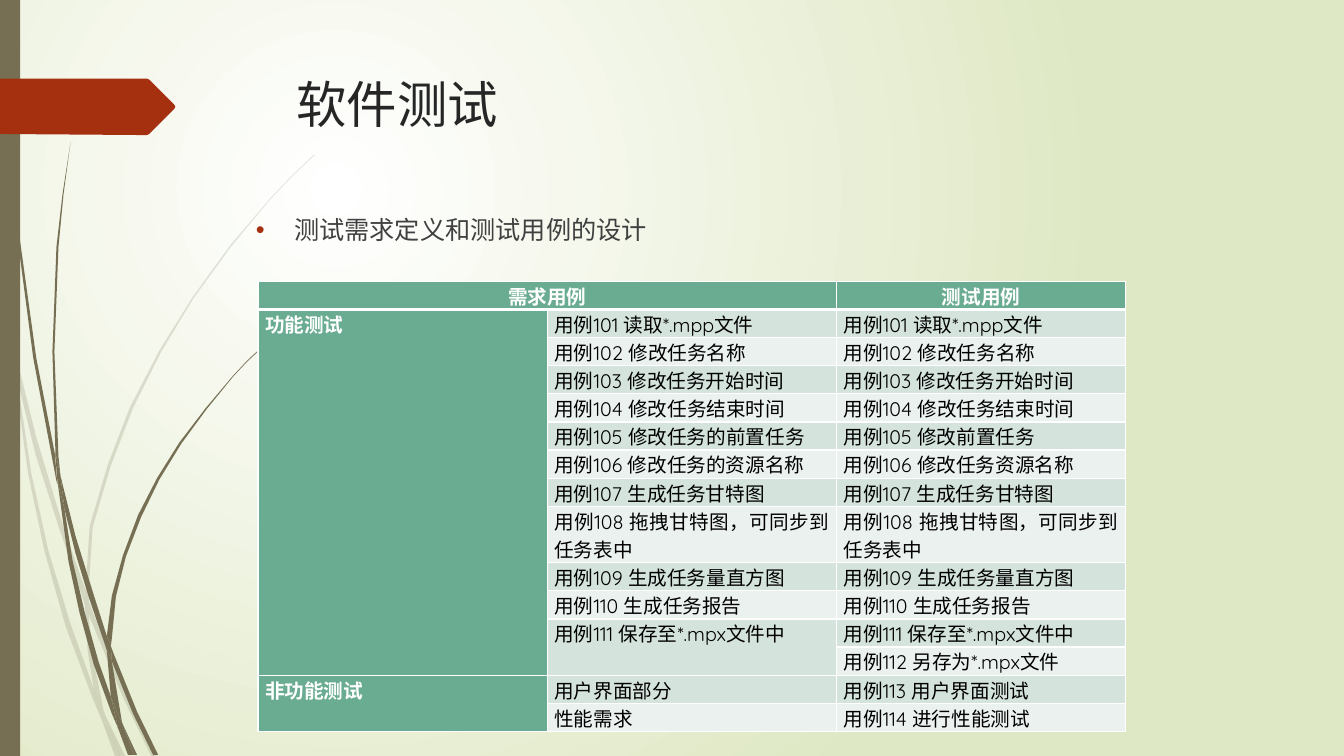
from typing import NamedTuple

from lxml.etree import SubElement
from pptx import Presentation
from pptx.dml.color import RGBColor
from pptx.enum.shapes import MSO_SHAPE as Preset
from pptx.enum.text import MSO_ANCHOR as Anchor, PP_ALIGN as Align
from pptx.oxml.ns import qn
from pptx.util import Emu, Inches, Pt

COLORS = {
    "olive": "766F54", "rust": "A53010", "title": "262626", "body": "404040",
    "white": "FFFFFF", "black": "000000", "meadow": "DFE8C4",
    "green": "6AAC91", "band_dark": "D4E3DC", "band_light": "EBF1EE",
}
FONT = "Quicksand"
CELL = Inches(0.01)  # the slide is a grid of square cells
COLUMNS, ROWS = 1333.33, 750


class Box(NamedTuple):
    left: float
    top: float
    width: float
    height: float

    def lengths(self) -> list[Emu]:
        return [Emu(round(cells * CELL)) for cells in self]


class Span(NamedTuple):
    """A table cell with its text; rows and columns tell how far it reaches."""
    row: int
    column: int
    text: str
    rows: int = 1
    columns: int = 1


class Grass(NamedTuple):
    """Leaves in one tone; each leaf lists its corners as column,row."""
    opacity: int
    leaves: tuple[str, ...]


PALE_GRASS = Grass(20, (
    "11,350 9,322 0,282 0,299 10,344",
    "58,522 84,599 85,586 62,520 36,434 14,345 17,376 35,450",
    "92,607 88,596 88,610 123,694 150,750 155,750 127,692",
    "119,750 124,750 105,711",
    "93,683 70,619 48,546 31,469 17,376 11,350 28,470 44,546 65,621 92,693 101,714 99,707",
    "84,599 87,646 93,683 96,692 105,711 103,706 91,646 88,610 88,608",
    "88,584 92,523 110,462 132,405 160,349 192,296 229,245 268,198 290,175 312,154 312,153 "
    "289,175 268,197 228,244 191,295 158,348 129,404 107,461 89,522 85,584 85,586 88,596",
    "101,714 114,750 119,750",
    "88,608 88,610 88,596 85,586 84,599",
    "96,692 93,683 99,707 101,714 119,750 105,711",
))
DARK_GRASS = Grass(100, (
    "7,110 17,233 33,355 56,477 57,481 55,457 55,453 36,355 19,232 8,109 5,48 4,0 3,0 4,48",
    "88,592 106,645 106,633 106,631 93,590 75,532 60,472 64,505 75,549",
    "113,649 110,641 111,656 132,708 152,749 157,749 136,706",
    "110,691 98,657 84,607 72,556 64,505 57,477 68,557 79,608 93,659 111,708 117,722 116,717",
    "60,472 58,453 54,349 58,245 63,193 70,141 62,193 56,245 52,349 55,449",
    "133,749 136,749 122,719",
    "57,477 64,505 60,472 55,449 55,453",
    "111,633 115,592 125,552 140,513 158,476 180,440 205,406 231,374 245,359 261,344 260,344 "
    "245,358 231,373 204,405 178,439 156,474 137,511 122,551 111,591 106,631 110,641",
    "117,722 127,749 131,749",
    "106,645 110,691 116,706 122,719 121,716 111,656 109,651",
    "106,645 109,651 111,656 110,641 106,631 106,633",
    "116,706 110,691 116,717 117,722 130,749 133,749 122,719",
))
RIBBON = "173,108 148,133 146,134 136,134 0,133 0,78 136,78 146,78 148,79 173,104 174,106"

SIDE_BAR = Box(0, 0, 20, ROWS)
TITLE_BOX = Box(284, 68, 975, 140)
BODY_BOX = Box(244, 208, 975, 413)
TABLE_BOX = Box(256, 279, 861, 447)

HEADINGS = [Span(0, 0, "需求用例", columns=2), Span(0, 2, "测试用例")]
GROUPS = [Span(1, 0, "功能测试", rows=12), Span(13, 0, "非功能测试", rows=2)]
REQUIREMENTS = [
    "用例101 读取*.mpp文件", "用例102 修改任务名称", "用例103 修改任务开始时间",
    "用例104 修改任务结束时间", "用例105 修改任务的前置任务", "用例106 修改任务的资源名称",
    "用例107 生成任务甘特图", "用例108 拖拽甘特图，可同步到任务表中",
    "用例109 生成任务量直方图", "用例110 生成任务报告",
]
TESTS = REQUIREMENTS[:4] + ["用例105 修改前置任务", "用例106 修改任务资源名称"] + REQUIREMENTS[6:] + [
    "用例111 保存至*.mpx文件中", "用例112 另存为*.mpx文件", "用例113 用户界面测试", "用例114 进行性能测试",
]
CASES = [
    *(Span(row, 1, text) for row, text in enumerate(REQUIREMENTS, 1)),
    Span(11, 1, "用例111 保存至*.mpx文件中", rows=2),
    Span(13, 1, "用户界面部分"), Span(14, 1, "性能需求"),
    *(Span(row, 2, text) for row, text in enumerate(TESTS, 1)),
]
TABLE_ROWS, TABLE_COLUMNS, LONG_ROW = 15, 3, 8


def rgb(name: str) -> RGBColor:
    return RGBColor.from_string(COLORS[name])


def paint(shape, color: str) -> None:
    shape.shadow.inherit = False
    shape.fill.solid()
    shape.fill.fore_color.rgb = rgb(color)
    shape.line.fill.background()


def draw_outline(shapes, corners: str, color: str):
    start, *rest = [tuple(map(int, corner.split(","))) for corner in corners.split()]
    builder = shapes.build_freeform(*start, scale=CELL)
    builder.add_line_segments(rest, close=True)
    shape = builder.convert_to_shape()
    paint(shape, color)
    return shape


def draw_grass(page, grass: Grass) -> None:
    group = page.shapes.add_group_shape()
    for corners in grass.leaves:
        leaf = draw_outline(group.shapes, corners, "olive")
        if grass.opacity < 100:
            tone = next(leaf.element.spPr.iter(qn("a:srgbClr")))
            SubElement(tone, qn("a:alpha"), val=str(grass.opacity * 1000))


def fill_background(page) -> None:
    """Spread white from the upper left quarter into pale green."""
    fill = page.background.fill
    fill.gradient()
    for stop, color in zip(fill.gradient_stops, ("white", "meadow")):
        stop.color.rgb = rgb(color)
    gradient = next(page.element.iter(qn("a:gradFill")))
    gradient.remove(gradient.find(qn("a:lin")))
    circle = SubElement(gradient, qn("a:path"), path="circle")
    SubElement(circle, qn("a:fillToRect"), l="50000", t="50000", r="100000", b="100000")


def write(frame, text: str, size: float, color: str, bold: bool = False):
    frame.word_wrap = True
    para = frame.paragraphs[0]
    para.text = text
    font = para.runs[0].font
    font.name, font.size, font.bold = FONT, Pt(size), bold
    font.color.rgb = rgb(color)
    return para


def add_text(page, box: Box, text: str, size: float, color: str):
    frame = page.shapes.add_textbox(*box.lengths()).text_frame
    frame.vertical_anchor = Anchor.TOP
    return write(frame, text, size, color)


def add_bullet(para, color: str) -> None:
    para.space_before = Pt(10)
    props = para._p.get_or_add_pPr()
    props.set("marL", str(Inches(0.38)))
    props.set("indent", str(-Inches(0.38)))
    SubElement(SubElement(props, qn("a:buClr")), qn("a:srgbClr"), val=COLORS[color])
    SubElement(props, qn("a:buFont"), typeface="Arial")
    SubElement(props, qn("a:buChar"), char="•")


def style_cell(cell, row: int, fill: str) -> None:
    cell.margin_left = cell.margin_right = Inches(0.07)
    cell.margin_top = cell.margin_bottom = 0
    props = cell._tc.get_or_add_tcPr()
    for side in "LRTB":
        under_heading = (row, side) in ((0, "B"), (1, "T"))
        line = SubElement(props, qn(f"a:ln{side}"), w=str(Pt(3 if under_heading else 1)))
        SubElement(SubElement(line, qn("a:solidFill")), qn("a:srgbClr"), val=COLORS["white"])
    cell.fill.solid()
    cell.fill.fore_color.rgb = rgb(fill)


def add_case_table(page) -> None:
    table = page.shapes.add_table(TABLE_ROWS, TABLE_COLUMNS, *TABLE_BOX.lengths()).table
    for column in table.columns:
        column.width = Emu(round(TABLE_BOX.width / TABLE_COLUMNS * CELL))
    for index, row in enumerate(table.rows):
        share = 2 if index == LONG_ROW else 1
        row.height = Emu(round(TABLE_BOX.height * share / (TABLE_ROWS + 1) * CELL))
        for column, cell in enumerate(row.cells):
            band = "band_dark" if index % 2 else "band_light"
            style_cell(cell, index, "green" if index == 0 or column == 0 else band)
    for span in HEADINGS + GROUPS + CASES:
        cell = table.cell(span.row, span.column)
        if span.rows * span.columns > 1:
            cell.merge(table.cell(span.row + span.rows - 1, span.column + span.columns - 1))
        strong = span.row == 0 or span.column == 0
        para = write(cell.text_frame, span.text, 14, "white" if strong else "black", strong)
        para.alignment = Align.CENTER if span.row == 0 else Align.JUSTIFY


def main() -> None:
    deck = Presentation()
    deck.slide_width, deck.slide_height = Emu(round(COLUMNS * CELL)), ROWS * CELL
    page = deck.slides.add_slide(deck.slide_layouts[6])
    fill_background(page)
    for grass in (PALE_GRASS, DARK_GRASS):
        draw_grass(page, grass)
    paint(page.shapes.add_shape(Preset.RECTANGLE, *SIDE_BAR.lengths()), "olive")
    draw_outline(page.shapes, RIBBON, "rust")
    add_text(page, TITLE_BOX, "软件测试", 36, "title")
    add_bullet(add_text(page, BODY_BOX, "测试需求定义和测试用例的设计", 18, "body"), "rust")
    add_case_table(page)
    deck.save("out.pptx")


if __name__ == "__main__":
    main()
